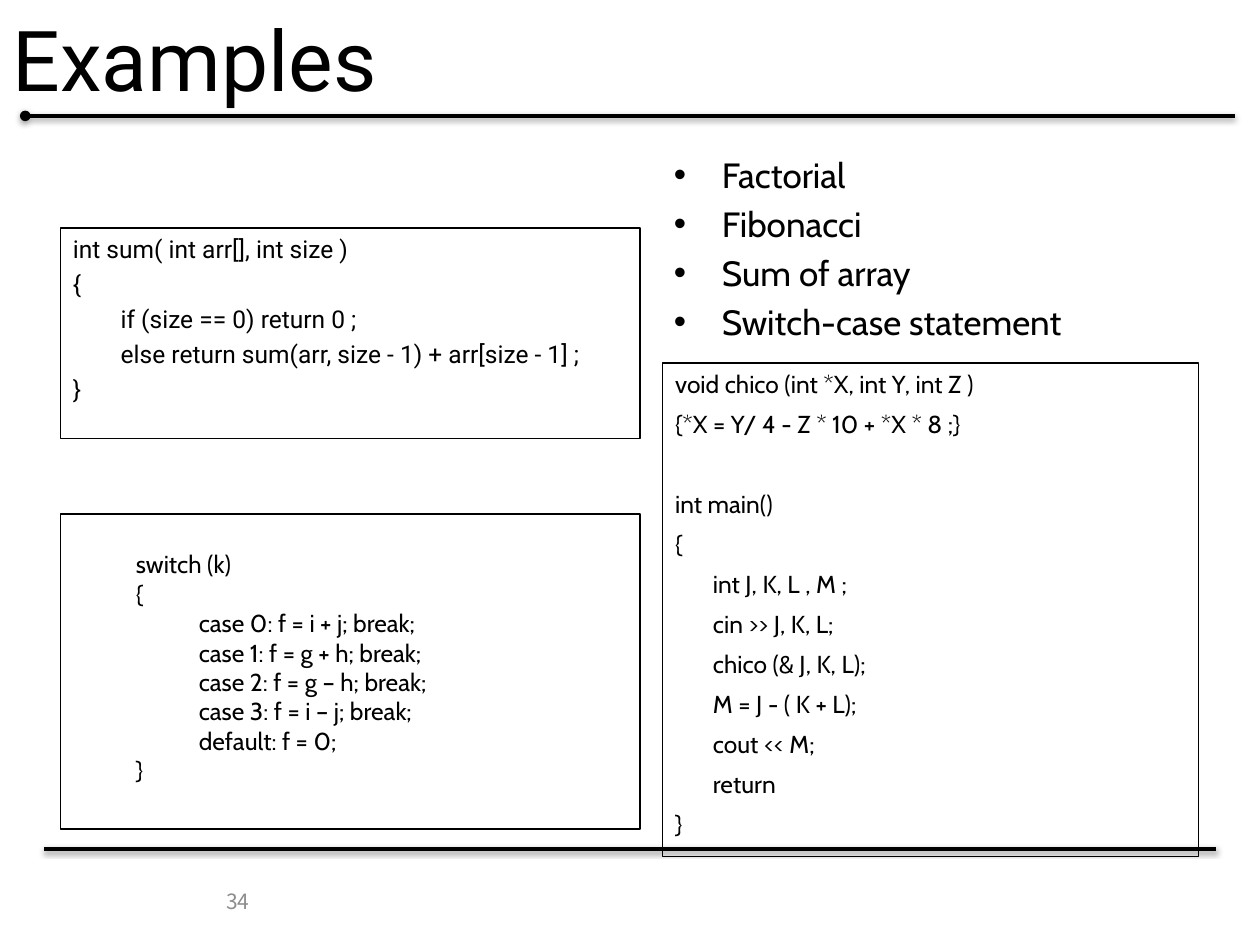
from dataclasses import dataclass

from lxml import etree
from pptx import Presentation
from pptx.dml.color import RGBColor
from pptx.enum.shapes import MSO_CONNECTOR, MSO_SHAPE
from pptx.enum.text import MSO_ANCHOR, MSO_AUTO_SIZE, PP_ALIGN
from pptx.oxml import parse_xml
from pptx.oxml.ns import nsdecls, qn
from pptx.util import Inches, Pt

RECTANGLE = MSO_SHAPE.RECTANGLE
STRAIGHT = MSO_CONNECTOR.STRAIGHT
TOP, MIDDLE = MSO_ANCHOR.TOP, MSO_ANCHOR.MIDDLE
LEFT, RIGHT, JUSTIFY = PP_ALIGN.LEFT, PP_ALIGN.RIGHT, PP_ALIGN.JUSTIFY
NO_AUTOFIT = MSO_AUTO_SIZE.NONE
TITLE_ONLY = 5
COLUMNS, ROWS = 100, 75

SUM_CODE = [
    "int sum( int arr[], int size )",
    "{",
    "\tif (size == 0) return 0 ;",
    "\telse return sum(arr, size - 1) + arr[size - 1] ;",
    "}",
]
SWITCH_CODE = [
    "switch (k)",
    "{",
    "\tcase 0: f = i + j; break;",
    "\tcase 1: f = g + h; break;",
    "\tcase 2: f = g – h; break;",
    "\tcase 3: f = i – j; break;",
    "\tdefault: f = 0;",
    "}",
]
CHICO_CODE = [
    "void chico (int *X, int Y, int Z )",
    "{*X = Y/ 4 - Z * 10 + *X * 8 ;}",
    "int main()",
    "{",
    "\tint J, K, L , M ;",
    "\tcin >> J, K, L;",
    "\tchico (& J, K, L);",
    "\tM = J - ( K + L);",
    "\tcout << M;",
    "\treturn",
    "}",
]
TOPICS = ["Factorial", "Fibonacci", "Sum of array", "Switch-case statement"]


@dataclass(frozen=True)
class Theme:
    ink: RGBColor = RGBColor(0, 0, 0)
    muted: RGBColor = RGBColor(0x8C, 0x8C, 0x8C)
    heading_font: str = "Roboto"
    body_font: str = "Cabin"
    number_font: str = "Noto Sans CJK KR"
    title_size: int = 48
    topic_size: int = 20
    code_size: int = 14
    number_size: int = 12
    rule_width: float = 2
    border_width: float = 0.75


class SlideBuilder:
    def __init__(self, presentation, theme):
        self.theme = theme
        self.column = presentation.slide_width / COLUMNS
        self.row = presentation.slide_height / ROWS
        self.slide = presentation.slides.add_slide(
            presentation.slide_layouts[TITLE_ONLY])

    def place(self, left, top, width, height):
        return (round(left * self.column), round(top * self.row),
                round(width * self.column), round(height * self.row))

    def fill_text(self, shape, lines, font, size, color=None, anchor=TOP,
                  align=LEFT, before=0, margin=0, hanging=0, bullet=None,
                  inset_top=0.05, gaps=None):
        """Fill a shape; gaps maps a line index to its own space before."""
        frame = shape.text_frame
        frame_format = {
            "word_wrap": True, "auto_size": NO_AUTOFIT,
            "vertical_anchor": anchor, "margin_top": Inches(inset_top),
        }
        for name, value in frame_format.items():
            setattr(frame, name, value)
        for index, line in enumerate(lines):
            paragraph = frame.paragraphs[0] if index == 0 else frame.add_paragraph()
            paragraph.text = line
            properties = paragraph._p.get_or_add_pPr()
            properties.set("marL", str(Inches(margin)))
            properties.set("indent", str(-Inches(hanging)))
            if bullet:
                etree.SubElement(properties, qn("a:buFont")).set("typeface", "Arial")
                etree.SubElement(properties, qn("a:buChar")).set("char", bullet)
            paragraph.alignment = align
            space = (gaps or {}).get(index, before if index else 0)
            paragraph.space_before = Pt(space)
            font_format = {"name": font, "size": Pt(size), "bold": False}
            for name, value in font_format.items():
                setattr(paragraph.font, name, value)
            paragraph.font.color.rgb = color or self.theme.ink

    def title(self, text, *area):
        shape = self.slide.shapes.title
        box = zip(("left", "top", "width", "height"), self.place(*area))
        for name, value in box:
            setattr(shape, name, value)
        self.fill_text(shape, [text], self.theme.heading_font,
                       self.theme.title_size, anchor=MIDDLE)

    def text(self, lines, area, **style):
        shape = self.slide.shapes.add_textbox(*self.place(*area))
        self.fill_text(shape, lines, **style)

    def code_box(self, lines, area, **style):
        shape = self.slide.shapes.add_shape(RECTANGLE, *self.place(*area))
        shape.shadow.inherit = False
        shape.fill.background()
        shape.line.color.rgb = self.theme.ink
        shape.line.width = Pt(self.theme.border_width)
        self.fill_text(shape, lines, size=self.theme.code_size, **style)

    def rule(self, start, end, row, dot=False):
        line = self.slide.shapes.add_connector(
            STRAIGHT, *self.place(start, row, end, row))
        line.line.color.rgb = self.theme.ink
        line.line.width = Pt(self.theme.rule_width)
        properties = line._element.spPr
        if dot:
            head = etree.SubElement(properties.find(qn("a:ln")), qn("a:headEnd"))
            head.set("type", "oval")
        properties.append(parse_xml(
            f'<a:effectLst {nsdecls("a")}>'
            f'<a:outerShdw blurRad="{Pt(3.1)}" dist="{Pt(1)}" dir="5400000" '
            f'rotWithShape="0"><a:srgbClr val="{self.theme.ink}">'
            '<a:alpha val="38000"/></a:srgbClr></a:outerShdw></a:effectLst>'))


def main():
    presentation = Presentation()
    presentation.slide_width = Inches(10)
    presentation.slide_height = Inches(7.5)
    theme = Theme()
    builder = SlideBuilder(presentation, theme)

    # Title and the two rules
    builder.rule(2, 98, 9.2, dot=True)
    builder.rule(96.5, 3.5, 67.4)
    builder.title("Examples", 0, 0, 100, 9.2)

    # Left column: array sum and switch statement
    builder.code_box(SUM_CODE, (4.8, 18.1, 46, 16.7), font=theme.heading_font,
                     before=3.2, margin=0.38, hanging=0.38)
    builder.code_box(SWITCH_CODE, (4.8, 40.8, 46, 25), font=theme.body_font,
                     margin=0.5, inset_top=0.28)

    # Right column: topics and the program, with a gap before main()
    builder.text(TOPICS, (52.5, 11.7, 42.5, 17.5), font=theme.body_font,
                 size=theme.topic_size, align=JUSTIFY, before=4,
                 margin=0.38, hanging=0.38, bullet="•")
    builder.code_box(CHICO_CODE, (52.6, 28.8, 42.5, 39.2), font=theme.body_font,
                     before=6, margin=0.3, hanging=0.3, gaps={2: 29})

    # Slide number
    builder.text(["34"], (6.7, 69.5, 14.1, 4), font=theme.number_font,
                 size=theme.number_size, color=theme.muted,
                 anchor=MIDDLE, align=RIGHT)

    presentation.save("out.pptx")


if __name__ == "__main__":
    main()
